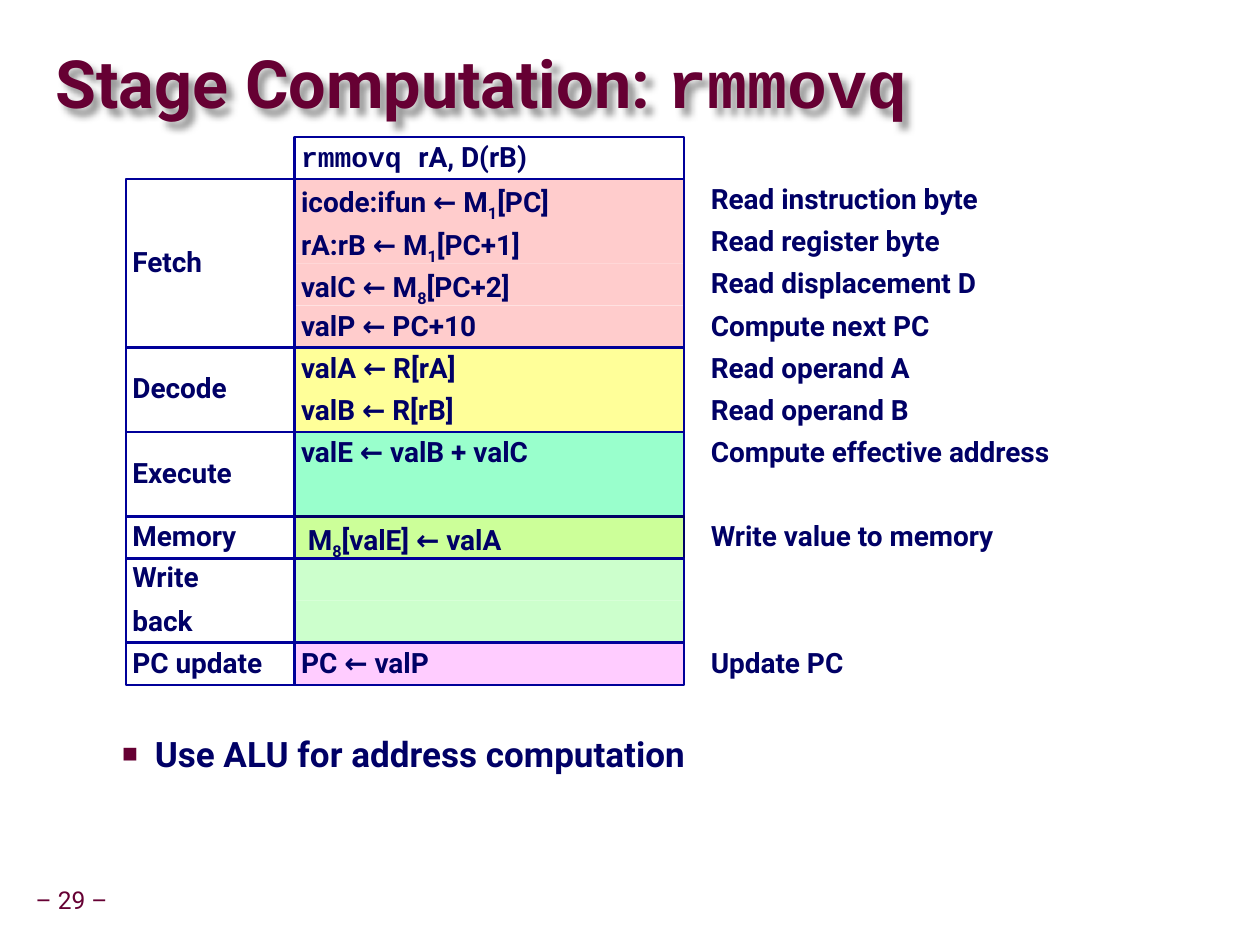
from lxml import etree
from pptx import Presentation
from pptx import util as u
from pptx.dml.color import RGBColor
from pptx.enum import shapes, text as t
from pptx.oxml import ns

MAROON = RGBColor(0x66, 0x00, 0x33)
NAVY = RGBColor(0x00, 0x00, 0x66)
BLUE = RGBColor(0x00, 0x00, 0x99)
PINK = RGBColor(0xFF, 0xCC, 0xCC)
YELLOW = RGBColor(0xFF, 0xFF, 0x99)
AQUA = RGBColor(0x99, 0xFF, 0xCC)
LIME = RGBColor(0xCC, 0xFF, 0x99)
MINT = RGBColor(0xCC, 0xFF, 0xCC)
LILAC = RGBColor(0xFF, 0xCC, 0xFF)

# Grid, in centimetres
NAME_LEFT, STEP_LEFT, NOTE_LEFT = 2.54, 5.94, 14.2
NAME_WIDTH, STEP_WIDTH = 3.4, 7.85
HEADER_TOP, ROW = 2.76, 0.85

# Stage name, fill, border, rows of (step, note); "_" lowers the next letter
STAGES = [
    ("Fetch", PINK, BLUE, [
        ("icode:ifun ← M_1[PC]", "Read instruction byte"),
        ("rA:rB ← M_1[PC+1]", "Read register byte"),
        ("valC ← M_8[PC+2]", "Read displacement D"),
        ("valP ← PC+10", "Compute next PC")]),
    ("Decode", YELLOW, BLUE, [
        ("valA ← R[rA]", "Read operand A"),
        ("valB ← R[rB]", "Read operand B")]),
    ("Execute", AQUA, BLUE, [
        ("valE ← valB + valC", "Compute effective address"), ("", "")]),
    ("Memory", LIME, NAVY, [(" M_8[valE] ← valA", "Write value to memory")]),
    ("Write\nback", MINT, BLUE, [("", ""), ("", "")]),
    ("PC update", LILAC, BLUE, [("PC ← valP", "Update PC")]),
]


def write(frame, text, size=16, color=NAVY, bold=True, spacing=0.9,
          align=t.PP_ALIGN.LEFT, anchor=t.MSO_ANCHOR.TOP, margins=(0.13, 0.13),
          wrap=True):
    """Fill a frame; `code` is monospaced and "_" lowers one letter."""
    frame.word_wrap = wrap
    frame.auto_size = t.MSO_AUTO_SIZE.NONE
    frame.vertical_anchor = anchor
    frame.margin_left = frame.margin_right = u.Cm(margins[0])
    frame.margin_top = frame.margin_bottom = u.Cm(margins[1])
    for index, line in enumerate(text.split("\n")):
        para = frame.add_paragraph() if index else frame.paragraphs[0]
        para.alignment = align
        para.line_spacing = spacing
        para.space_before = u.Pt(size / 2 if index else 0)
        for part_index, part in enumerate(line.split("`")):
            first, *lowered = part.split("_")
            pieces = [(first, False)]
            for piece in lowered:
                pieces += [(piece[0], True), (piece[1:], False)]
            for words, is_low in pieces:
                if not words:
                    continue
                span = para.add_run()
                span.text = words
                span.font.name = "Courier New" if part_index % 2 else "Roboto"
                span.font.size = u.Pt(size)
                span.font.bold = bold
                span.font.color.rgb = color
                if is_low:
                    span.font._element.set("baseline", "-25000")


class SlideBuilder:
    def __init__(self, page):
        self.page = page

    def place(self, holder, left, top, width, height):
        holder.left, holder.top = u.Cm(left), u.Cm(top)
        holder.width, holder.height = u.Cm(width), u.Cm(height)

    def title(self, text):
        holder = self.page.shapes.title
        self.place(holder, 1.12, 0.69, 24.2, 2.16)
        write(holder.text_frame, text, size=38, color=MAROON, spacing=0.87,
              anchor=t.MSO_ANCHOR.MIDDLE, margins=(0, 0))
        effects = etree.SubElement(holder._element.spPr, ns.qn("a:effectLst"))
        shadow = etree.SubElement(effects, ns.qn("a:outerShdw"), blurRad="50800",
                                  dist="63500", dir="2700000", algn="tl")
        tint = etree.SubElement(shadow, ns.qn("a:srgbClr"), val="000000")
        etree.SubElement(tint, ns.qn("a:alpha"), val="40000")

    def bullet(self, text):
        holder = self.page.placeholders[1]
        self.place(holder, 0.81, 14.63, 23.09, 3.28)
        write(holder.text_frame, text, size=20, spacing=1.0, margins=(0.25, 0.13))
        para = holder.text_frame.paragraphs[0]
        para.level = 1
        properties = para._p.get_or_add_pPr()
        properties.set("marL", str(u.Cm(2.06)))
        properties.set("indent", str(-u.Cm(0.66)))
        tint = etree.SubElement(properties, ns.qn("a:buClr"))
        etree.SubElement(tint, ns.qn("a:srgbClr"), val=str(MAROON))
        etree.SubElement(properties, ns.qn("a:buSzPct"), val="75000")
        etree.SubElement(properties, ns.qn("a:buChar"), char="■")

    def box(self, left, top, width, height, text="", fill=None, edge=None, **style):
        box = self.page.shapes.add_shape(
            shapes.MSO_SHAPE.RECTANGLE,
            u.Cm(left), u.Cm(top), u.Cm(width), u.Cm(height))
        box.shadow.inherit = False
        if fill is None:
            box.fill.background()
        else:
            box.fill.solid()
            box.fill.fore_color.rgb = fill
        if edge is None:
            box.line.fill.background()
        else:
            box.line.color.rgb = edge
            box.line.width = u.Pt(1.5)
        if text:
            write(box.text_frame, text, **style)

    def label(self, left, top, width, height, text, **style):
        box = self.page.shapes.add_textbox(
            u.Cm(left), u.Cm(top), u.Cm(width), u.Cm(height))
        write(box.text_frame, text, **style)

    def stage(self, top, name, fill, edge, rows):
        height = ROW * len(rows)
        for index, (step, note) in enumerate(rows):
            row_top = top + index * ROW
            self.box(STEP_LEFT, row_top, STEP_WIDTH, ROW, step, fill=fill)
            if note:
                self.label(NOTE_LEFT, row_top, STEP_WIDTH + 1, ROW, note)
        self.box(STEP_LEFT, top, STEP_WIDTH, height, edge=edge)
        self.box(NAME_LEFT, top, NAME_WIDTH, height, name, edge=BLUE,
                 anchor=t.MSO_ANCHOR.MIDDLE)
        return top + height


def main():
    deck = Presentation()
    deck.slide_width, deck.slide_height = u.Cm(25.4), u.Cm(19.05)
    builder = SlideBuilder(deck.slides.add_slide(deck.slide_layouts[1]))

    # Title and remark
    builder.title("Stage Computation: `rmmovq`")
    builder.bullet("Use ALU for address computation")

    # Instruction header and its stages
    builder.box(STEP_LEFT, HEADER_TOP, STEP_WIDTH, ROW, "`rmmovq `rA, D(rB)",
                edge=BLUE)
    top = HEADER_TOP + ROW
    for stage in STAGES:
        top = builder.stage(top, *stage)

    # Page number
    builder.label(0.58, 17.78, 1.73, 0.81, "– 29 –", size=14, color=MAROON,
                  bold=False, align=t.PP_ALIGN.CENTER,
                  anchor=t.MSO_ANCHOR.MIDDLE, wrap=False)

    deck.save("out.pptx")


if __name__ == "__main__":
    main()
